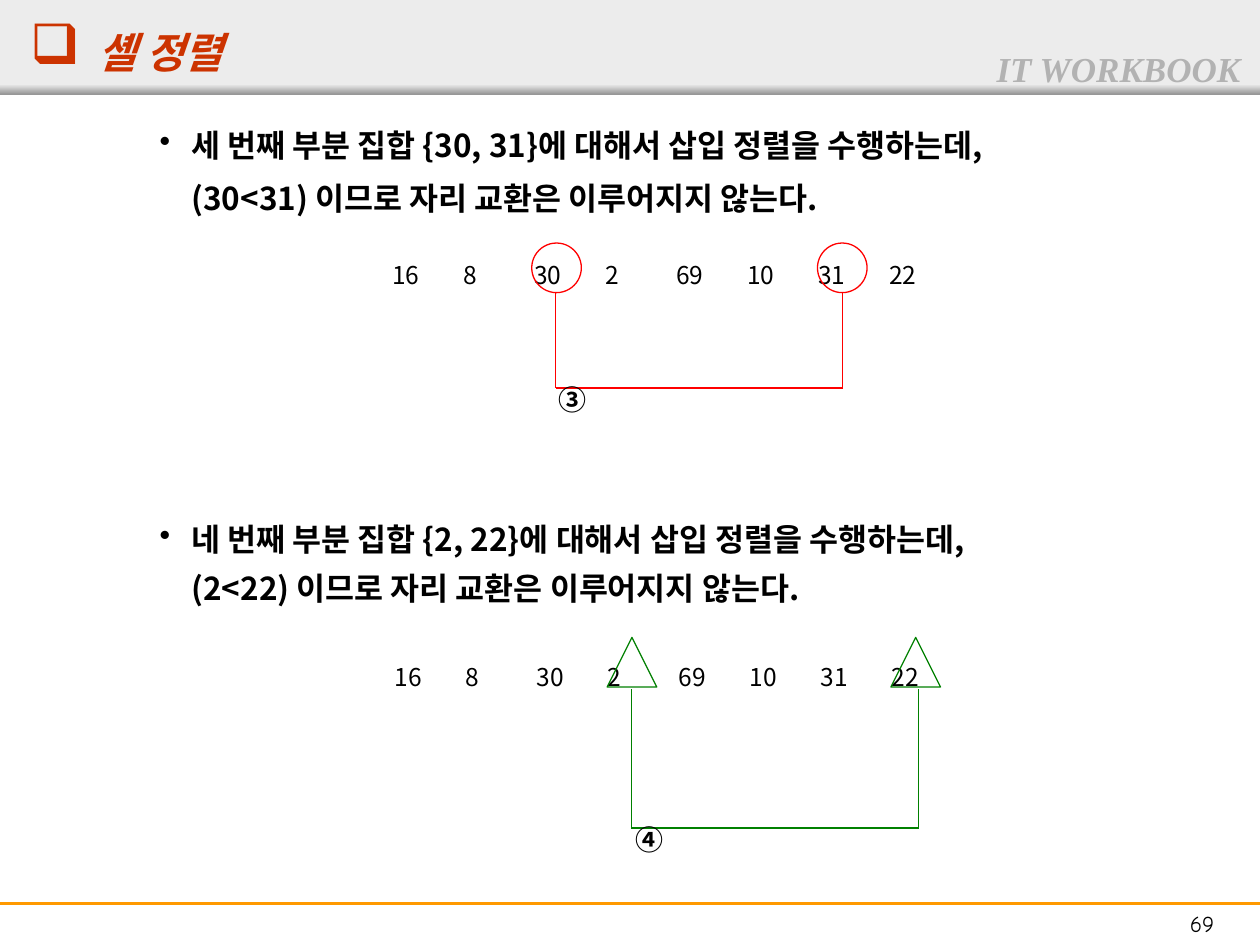
from lxml.etree import SubElement as Sub
from pptx import Presentation
from pptx.dml.color import RGBColor
from pptx.enum.shapes import MSO_CONNECTOR as Link, MSO_SHAPE as Kind
from pptx.enum.text import MSO_ANCHOR as Anchor, PP_ALIGN as Align
from pptx.oxml.ns import qn
from pptx.util import Cm, Pt


def paint(color, code):
    color.rgb = RGBColor.from_string(code)


class Deck:
    sans = "Noto Sans CJK KR"
    black = "000000"

    def __init__(self, file):
        self.shapes = file.slides.add_slide(file.slide_layouts[6]).shapes

    def font(self, para, size, code=black, name=sans, bold=False, slant=False):
        font = para.font
        font.size, font.name, font.bold, font.italic = Pt(size), name, bold, slant
        paint(font.color, code)
        props = para._p.pPr.find(qn("a:defRPr"))
        Sub(props, qn("a:ea"), typeface=name)

    def bullet(self, para, mark, left, hang, code, scale=100):
        props = para._p.get_or_add_pPr()
        props.set("marL", str(Cm(left)))
        props.set("indent", str(-Cm(hang)))
        if mark:
            hue = Sub(props, qn("a:buClr"))
            Sub(hue, qn("a:srgbClr"), val=code)
            Sub(props, qn("a:buSzPct"), val=str(scale * 1000))
            Sub(props, qn("a:buChar"), char=mark)

    def frame(self, x, y, w, h, wrap=True):
        frame = self.shapes.add_textbox(Cm(x), Cm(y), Cm(w), Cm(h)).text_frame
        frame.word_wrap = wrap
        return frame

    def text(self, words, x, y, w, h, size, wrap=True, align=Align.LEFT, **style):
        para = self.frame(x, y, w, h, wrap).paragraphs[0]
        para.text, para.alignment = words, align
        self.font(para, size, **style)

    def title(self, words, x, y, w, h, code):
        frame = self.frame(x, y, w, h)
        frame.margin_top = 0
        para = frame.paragraphs[0]
        para.text = words
        self.bullet(para, "❑", 1.35, 1.35, code, 133)
        self.font(para, 24, code, bold=True, slant=True)

    def body(self, items, x, y, w, h):
        frame = self.frame(x, y, w, h)
        for i, (mark, words, pitch, gap) in enumerate(items):
            para = frame.add_paragraph() if i else frame.paragraphs[0]
            para.text = words
            para.line_spacing, para.space_before = Pt(pitch), Pt(gap)
            self.bullet(para, mark, 3.18, 0.64 if mark else 0, self.black)
            self.font(para, 18, bold=True)

    def band(self, y, h, *codes):
        box = self.shape(Kind.RECTANGLE, 0, y, 25.4, h)
        if len(codes) == 1:
            box.fill.solid()
            paint(box.fill.fore_color, codes[0])
        else:
            box.fill.gradient()
            box.fill.gradient_angle = 270
            for stop, code in zip(box.fill.gradient_stops, codes):
                paint(stop.color, code)

    def shape(self, kind, x, y, w, h, code=None):
        item = self.shapes.add_shape(kind, Cm(x), Cm(y), Cm(w), Cm(h))
        item.shadow.inherit = False
        item.fill.background()
        if code:
            paint(item.line.color, code)
            item.line.width = Pt(0.75)
        else:
            item.line.fill.background()
        return item

    def line(self, start, end, code, width=0.75):
        ends = [Cm(n) for n in (*start, *end)]
        item = self.shapes.add_connector(Link.STRAIGHT, *ends)
        paint(item.line.color, code)
        item.line.width = Pt(width)
        Sub(item._element.spPr, qn("a:effectLst"))

    def table(self, row, x, y, w, h):
        table = self.shapes.add_table(1, len(row), Cm(x), Cm(y), Cm(w), Cm(h)).table
        table.first_row = table.horz_banding = False
        for cell, value in zip(table.rows[0].cells, row):
            cell.fill.background()
            cell.vertical_anchor = Anchor.MIDDLE
            para = cell.text_frame.paragraphs[0]
            para.text = str(value)
            self.font(para, 14)

    def pair(self, kind, marks, top, stems, span, label, spot, code):
        for x in marks:
            self.shape(kind, x, top, 1, 1, code)
        left, right = stems
        high, low = span
        self.line((left, high), (left, low), code)
        self.line((left, low), (right, low), code)
        self.line((right, high), (right, low), code)
        self.text(label, *spot, 1, 0.94, 16, wrap=False, bold=True)


def main():
    file = Presentation()
    file.slide_width, file.slide_height = Cm(25.4), Cm(19.05)
    deck = Deck(file)
    deck.band(0, 1.9, "ECECEC")
    deck.band(1.7, 0.2, "ECECEC", "979797")
    deck.line((0, 18.21), (25.4, 18.21), "FF9900", 1.5)
    deck.text("IT WORKBOOK", 19.84, 0.84, 5.56, 1.12, 20, code="B2B2B2",
              name="Times New Roman", bold=True, slant=True)
    deck.text("69", 23.06, 18.21, 2.34, 0.81, 13, align=Align.CENTER,
              name="Comic Neue")
    deck.body([
        ("•", "세 번째 부분 집합 {30, 31}에 대해서 삽입 정렬을 수행하는데,", 30.3, 0),
        (None, "(30<31) 이므로 자리 교환은 이루어지지 않는다.", 30.3, 0),
        ("•", "네 번째 부분 집합 {2, 22}에 대해서 삽입 정렬을 수행하는데,", 28, 167),
        (None, "(2<22) 이므로 자리 교환은 이루어지지 않는다.", 28, 0),
    ], 0.43, 2.11, 24, 15.7)
    deck.title("셸 정렬", 0.36, 0.53, 22.86, 1.17, "CC3300")

    row = [16, 8, 30, 2, 69, 10, 31, 22]
    deck.table(row, 7.65, 5.03, 11.46, 0.85)
    deck.pair(Kind.OVAL, (10.72, 16.48), 4.9, (11.2, 16.99), (5.89, 7.82),
              "③", (11, 7.59), "FF0000")
    deck.table(row, 7.7, 13.13, 11.46, 0.85)
    deck.pair(Kind.ISOSCELES_TRIANGLE, (12.24, 17.96), 12.85, (12.73, 18.52),
              (13.89, 16.69), "④", (12.57, 16.46), "008000")
    file.save("out.pptx")


if __name__ == "__main__":
    main()
